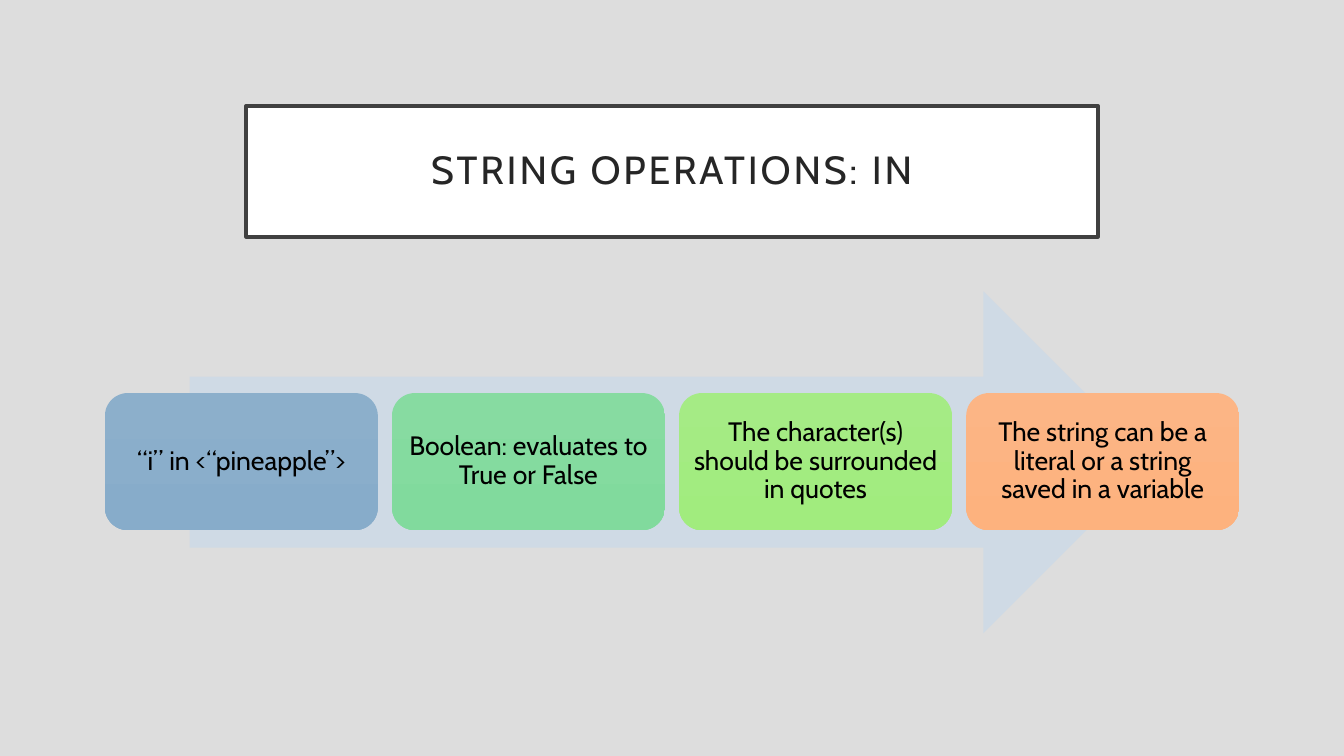
from pptx import Presentation
from pptx.dml.color import RGBColor
from pptx.enum.shapes import MSO_SHAPE as SHAPE
from pptx.enum.text import MSO_ANCHOR as ANCHOR, MSO_AUTO_SIZE as AUTO, PP_ALIGN as ALIGN
from pptx.util import Inches, Pt

WIDTH, HEIGHT = 13.33, 7.5
MARGIN, GAP = 1.04, 0.14
CARD_TOP, CARD_HEIGHT = 3.9, 1.36

GREY = RGBColor(0xDD, 0xDD, 0xDD)
WHITE = RGBColor(0xFF, 0xFF, 0xFF)
FRAME = RGBColor(0x40, 0x40, 0x40)
INK = RGBColor(0x26, 0x26, 0x26)
BLACK = RGBColor(0x00, 0x00, 0x00)
PALE_BLUE = RGBColor(0xCF, 0xDA, 0xE5)
BLUES = RGBColor(0x8C, 0xAF, 0xCB), RGBColor(0x87, 0xAC, 0xCA)
GREENS = RGBColor(0x87, 0xDB, 0xA1), RGBColor(0x81, 0xDA, 0x9D)
LIMES = RGBColor(0xA5, 0xEB, 0x85), RGBColor(0xA1, 0xEC, 0x7E)
ORANGES = RGBColor(0xFC, 0xB5, 0x85), RGBColor(0xFD, 0xB2, 0x7E)

TITLE_FONT = {"name": "Cabin", "size": Pt(28), "bold": False}
CARD_FONT = {"name": "Cabin", "size": Pt(19)}
CARDS = [
    ("“i” in <“pineapple”>", BLUES),
    ("Boolean: evaluates to True or False", GREENS),
    ("The character(s) should be surrounded in quotes", LIMES),
    ("The string can be a literal or a string saved in a variable", ORANGES),
]


def write(sp, text, inset, font, color):
    """Put one centred, middle-anchored paragraph into a shape and return its run."""
    tf = sp.text_frame
    frame = {"word_wrap": True, "auto_size": AUTO.NONE, "vertical_anchor": ANCHOR.MIDDLE}
    frame |= {f"margin_{side}": Inches(inset) for side in ("left", "top", "right", "bottom")}
    for key, value in frame.items():
        setattr(tf, key, value)
    p = tf.paragraphs[0]
    for key, value in {"alignment": ALIGN.CENTER, "line_spacing": 0.9, "space_before": Pt(0)}.items():
        setattr(p, key, value)
    r = p.add_run()
    r.text = text
    for key, value in font.items():
        setattr(r.font, key, value)
    r.font.color.rgb = color
    return r


def add_title(s, text):
    """Move, frame and fill the title placeholder."""
    sp = s.shapes.title
    box = {"left": 2.44, "top": 1.05, "width": WIDTH - 2 * 2.44, "height": 1.3}
    for key, value in box.items():
        setattr(sp, key, Inches(value))
    sp.fill.solid()
    sp.fill.fore_color.rgb = WHITE
    sp.line.color.rgb = FRAME
    sp.line.width = Pt(2.5)
    r = write(sp, text, 0.2, TITLE_FONT, INK)
    r.font._element.set("spc", "200")


def add_plain(s, kind, left, top, width, height):
    """Add a preset shape without shadow or outline."""
    sp = s.shapes.add_shape(kind, *map(Inches, (left, top, width, height)))
    sp.shadow.inherit = False
    sp.line.fill.background()
    return sp


def add_arrow(s):
    """Add the wide arrow behind the cards."""
    sp = add_plain(s, SHAPE.RIGHT_ARROW, 1.88, 2.89, WIDTH - 2 * 1.88, 3.39)
    sp.fill.solid()
    sp.fill.fore_color.rgb = PALE_BLUE


def add_card(s, column, text, colors):
    """Add one rounded card with a vertical gradient in its column."""
    pitch = (WIDTH - 2 * MARGIN + GAP) / len(CARDS)
    sp = add_plain(s, SHAPE.ROUNDED_RECTANGLE, MARGIN + column * pitch, CARD_TOP,
                   pitch - GAP, CARD_HEIGHT)
    sp.fill.gradient()
    sp.fill.gradient_angle = 270
    for stop, color in zip(sp.fill.gradient_stops, colors):
        stop.color.rgb = color
    write(sp, text, 0.08, CARD_FONT, BLACK)


def main():
    """Build the slide and save it."""
    prs = Presentation()
    prs.slide_width, prs.slide_height = Inches(WIDTH), Inches(HEIGHT)
    s = prs.slides.add_slide(prs.slide_layouts[5])
    s.background.fill.solid()
    s.background.fill.fore_color.rgb = GREY
    add_title(s, "STRING OPERATIONS: IN")
    add_arrow(s)
    for column, (text, colors) in enumerate(CARDS):
        add_card(s, column, text, colors)
    prs.save("out.pptx")


if __name__ == "__main__":
    main()
